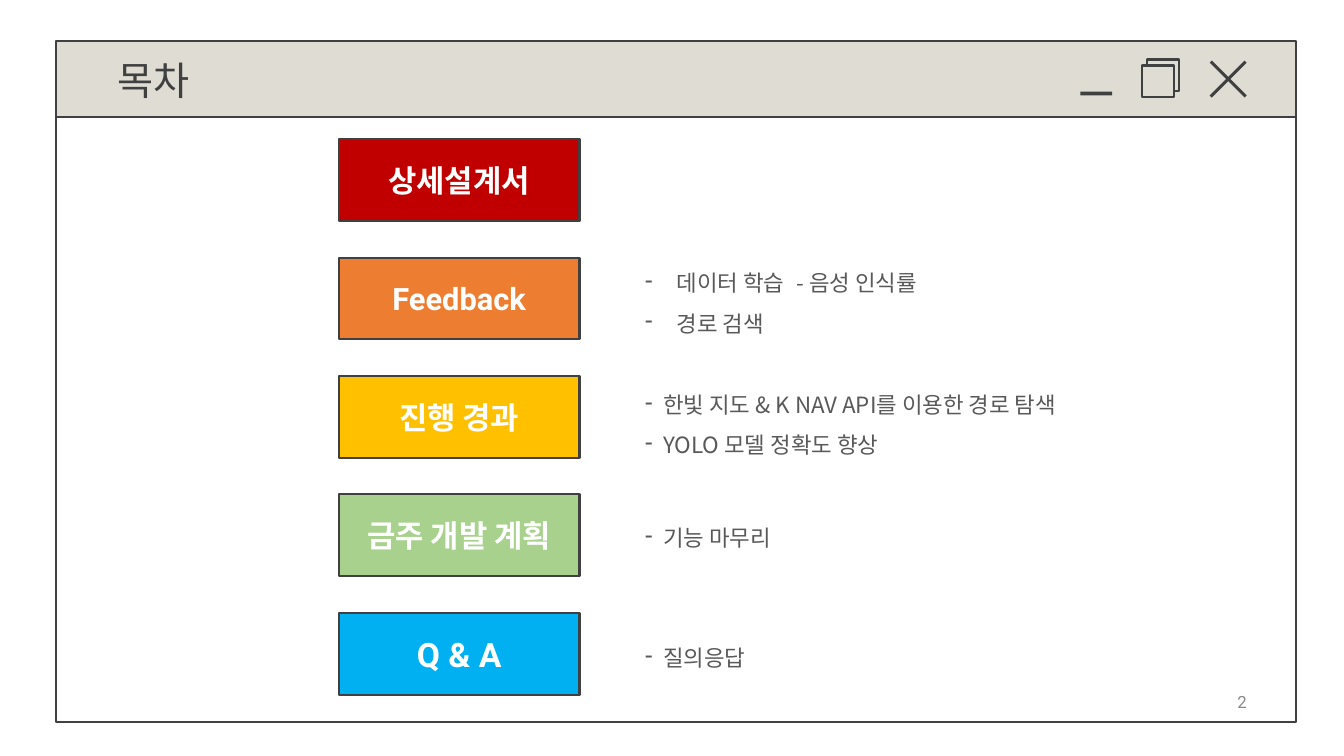
from dataclasses import dataclass

import pptx
import pptx.dml.color
import pptx.enum.shapes
import pptx.enum.text
import pptx.oxml.ns
import pptx.util
from lxml import etree

Pt = pptx.util.Pt
ALIGN = pptx.enum.text.PP_ALIGN
ANCHOR = pptx.enum.text.MSO_ANCHOR
RECTANGLE = pptx.enum.shapes.MSO_SHAPE.RECTANGLE


@dataclass(frozen=True)
class Theme:
    ink: str = "404040"
    bar: str = "DFDCD3"
    paper: str = "FFFFFF"
    detail: str = "595959"
    number: str = "888888"
    korean: str = "Noto Sans CJK KR"
    latin: str = "Roboto"
    title_size: float = 28
    label_size: float = 22
    large_label_size: float = 24
    detail_size: float = 16
    number_size: float = 12
    border: float = 1.5
    inset: float = 3.6


THEME = Theme()

CARD_LEFT, CARD_TOP, CARD_STEP = 242, 99.4, 84.6
CARD_WIDTH, CARD_HEIGHT = 172, 58.4
DETAIL_LEFT, DETAIL_WIDTH = 457.2, 338

AGENDA = [
    ("상세설계서", "C00000", THEME.label_size),
    ("Feedback", "ED7D31", THEME.label_size),
    ("진행 경과", "FFC000", THEME.label_size),
    ("금주 개발 계획", "A9D18E", THEME.label_size),
    ("Q & A", "00B0F0", THEME.large_label_size),
]

DETAILS = [
    (179.3, 62, 22.5, ["데이터 학습\t- 음성 인식률", "경로 검색"]),
    (266.4, 62, 13, ["한빛 지도 & K NAV API를 이용한 경로 탐색", "YOLO 모델 정확도 향상"]),
    (361.4, 32.4, 13, ["기능 마무리"]),
    (447.1, 32.4, 13, ["질의응답"]),
]


def rgb(value):
    return pptx.dml.color.RGBColor.from_string(value)


def set_values(target, values):
    for name, value in values.items():
        setattr(target, name, value)


def place(box, left, top, width, height):
    set_values(box, {"left": Pt(left), "top": Pt(top),
                     "width": Pt(width), "height": Pt(height)})


def format_frame(box, anchor, wrap=True):
    inset = Pt(THEME.inset)
    set_values(box.text_frame, {
        "margin_left": inset, "margin_right": inset,
        "margin_top": inset, "margin_bottom": inset,
        "vertical_anchor": anchor, "word_wrap": wrap,
        "auto_size": pptx.enum.text.MSO_AUTO_SIZE.NONE,
    })


def write(para, text, size, color, font, bold=False, **layout):
    set_values(para, layout)
    span = para.add_run()
    span.text = text
    set_values(span.font, {"size": Pt(size), "bold": bold, "name": font})
    span.font.color.rgb = rgb(color)
    east_asian = etree.SubElement(span.font._element, pptx.oxml.ns.qn("a:ea"))
    east_asian.set("typeface", THEME.korean)


def add_dash(para, indent):
    properties = para._p.get_or_add_pPr()
    properties.set("marL", str(Pt(indent)))
    properties.set("indent", str(-Pt(indent)))
    bullet = etree.SubElement(properties, pptx.oxml.ns.qn("a:buChar"))
    bullet.set("char", "-")


def add_rectangle(page, left, top, width, height, fill, bordered=True):
    box = page.shapes.add_shape(RECTANGLE, Pt(left), Pt(top), Pt(width), Pt(height))
    box.shadow.inherit = False
    box.fill.solid()
    box.fill.fore_color.rgb = rgb(fill)
    if bordered:
        box.line.color.rgb = rgb(THEME.ink)
        box.line.width = Pt(THEME.border)
    else:
        box.line.fill.background()
    return box


def add_text_box(page, left, top, width, height, anchor, wrap=True):
    box = page.shapes.add_textbox(Pt(left), Pt(top), Pt(width), Pt(height))
    format_frame(box, anchor, wrap)
    return box


def add_window(page):
    add_rectangle(page, 40.3, 29.5, 885.6, 54, THEME.bar)
    add_rectangle(page, 40.3, 83.5, 885.6, 432, THEME.paper)
    add_rectangle(page, 771.8, 65.5, 22.6, 2.6, THEME.ink, bordered=False)
    for left, top in [(819.4, 42.5), (815.8, 46.8)]:
        add_rectangle(page, left, top, 22.6, 22.6, THEME.bar)
    for angle in (45, 315):
        stroke = add_rectangle(page, 859.7, 55.4, 35.2, 2.2, THEME.ink, bordered=False)
        stroke.rotation = angle


def add_title(page, text):
    title = page.shapes.title
    page.shapes._spTree.append(title._element)
    place(title, 80.6, 36.7, 640, 40.3)
    format_frame(title, ANCHOR.MIDDLE)
    write(title.text_frame.paragraphs[0], text, THEME.title_size, THEME.ink,
          THEME.korean, alignment=ALIGN.LEFT)


def add_card(page, row, label, fill, size):
    card = add_rectangle(page, CARD_LEFT, CARD_TOP + row * CARD_STEP,
                         CARD_WIDTH, CARD_HEIGHT, fill)
    format_frame(card, ANCHOR.MIDDLE)
    write(card.text_frame.paragraphs[0], label, size, THEME.paper,
          THEME.latin, bold=True, alignment=ALIGN.CENTER)


def add_detail(page, top, height, indent, lines):
    box = add_text_box(page, DETAIL_LEFT, top, DETAIL_WIDTH, height, ANCHOR.TOP)
    frame = box.text_frame
    for index, line in enumerate(lines):
        para = frame.add_paragraph() if index else frame.paragraphs[0]
        add_dash(para, indent)
        write(para, line, THEME.detail_size, THEME.detail, THEME.korean,
              line_spacing=1.5)


def add_page_number(page, text):
    box = add_text_box(page, 879.1, 491, 15.1, 20.9, ANCHOR.MIDDLE, wrap=False)
    write(box.text_frame.paragraphs[0], text, THEME.number_size, THEME.number,
          THEME.latin, alignment=ALIGN.RIGHT)


def main():
    deck = pptx.Presentation()
    set_values(deck, {"slide_width": Pt(960), "slide_height": Pt(540)})
    page = deck.slides.add_slide(deck.slide_layouts[5])
    add_window(page)
    add_title(page, "목차")
    for row, item in enumerate(AGENDA):
        add_card(page, row, *item)
    for detail in DETAILS:
        add_detail(page, *detail)
    add_page_number(page, "2")
    deck.save("out.pptx")


if __name__ == "__main__":
    main()
